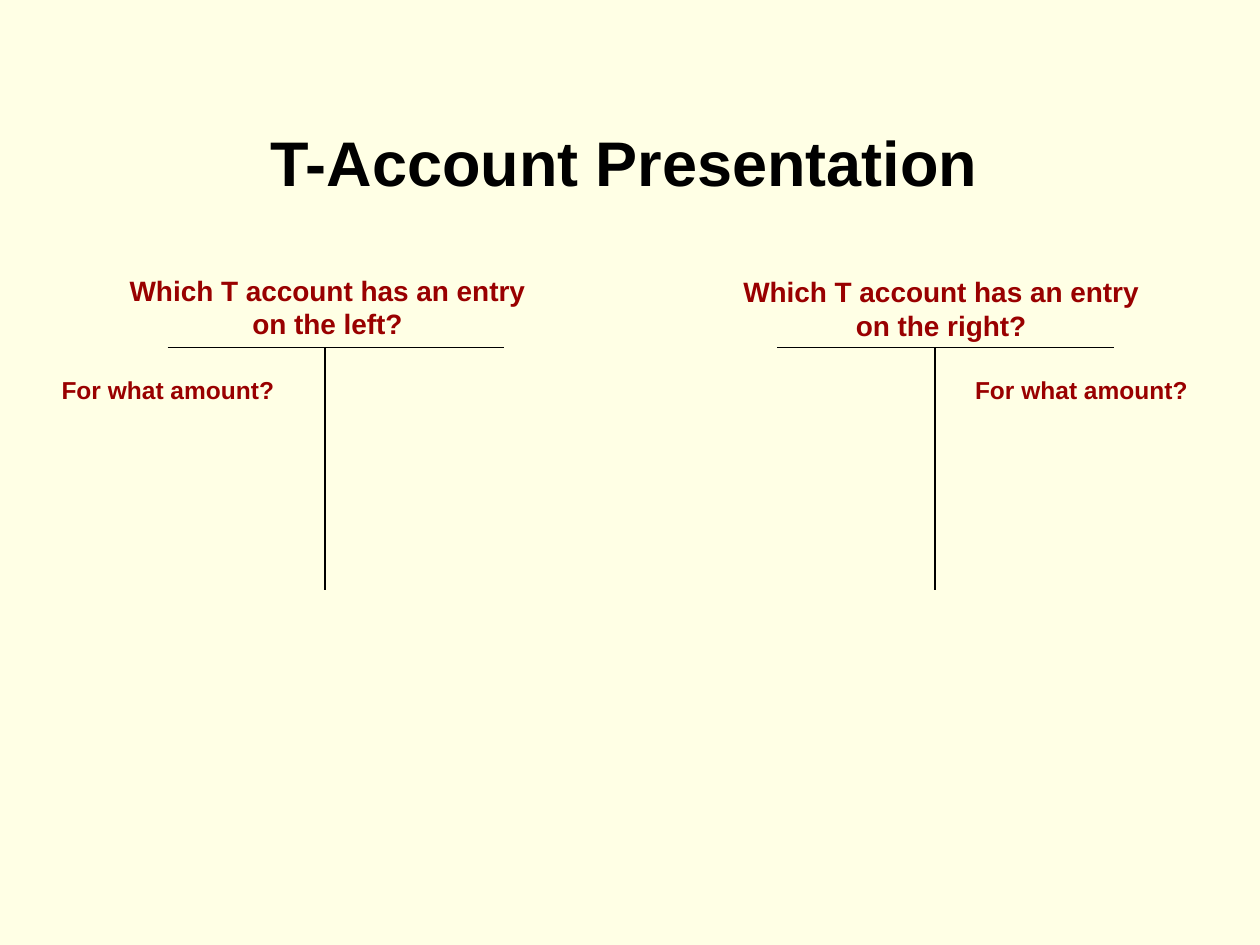
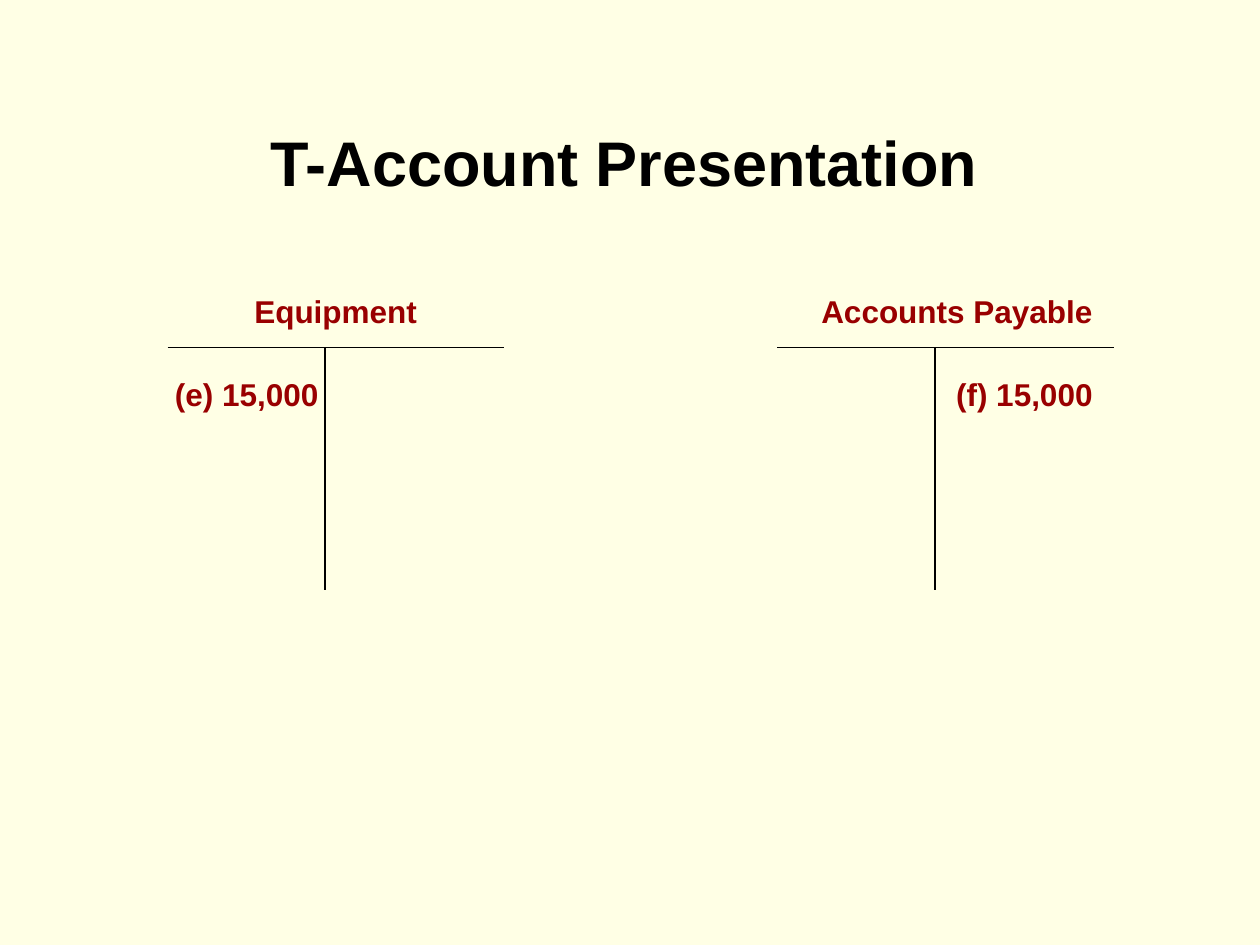
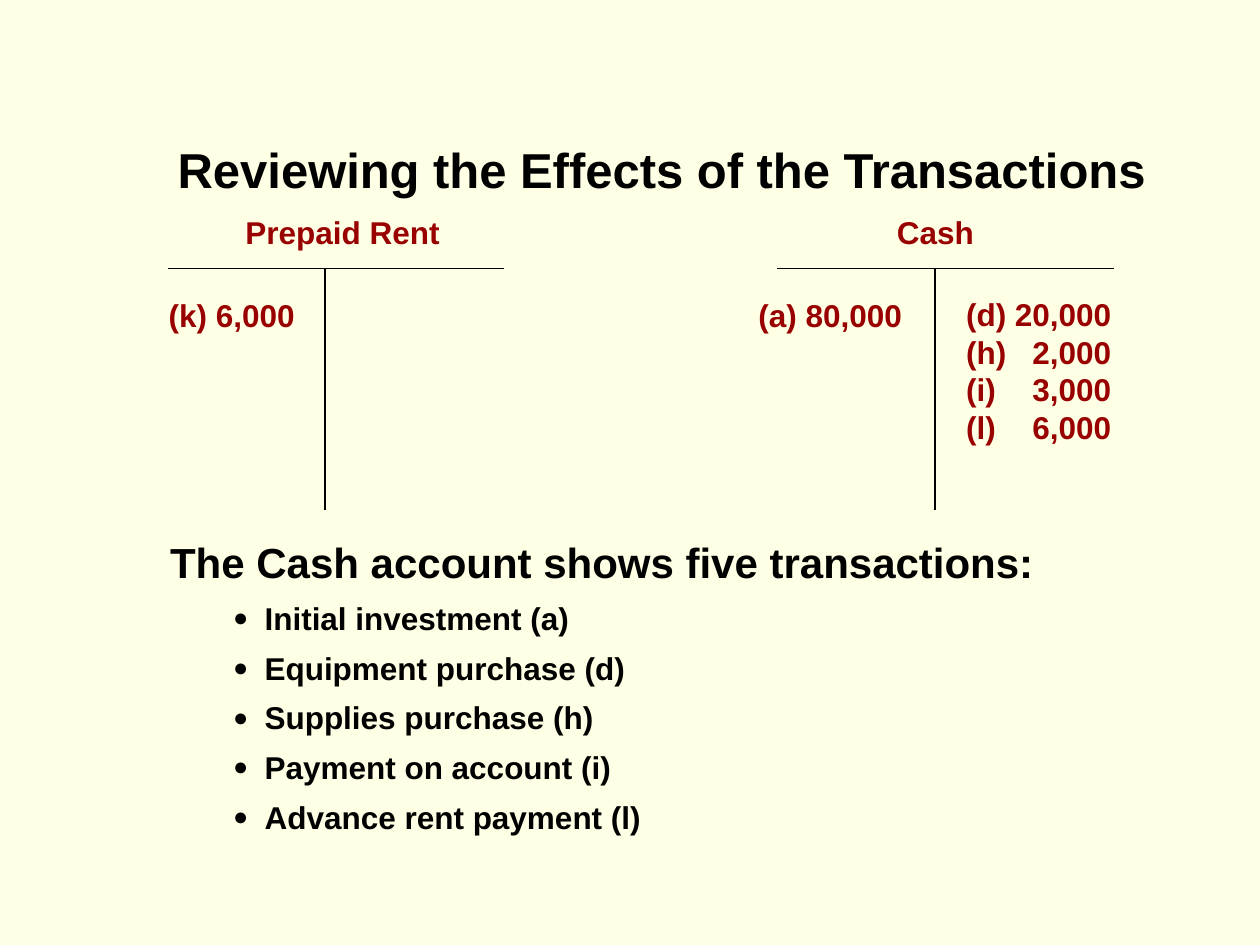
"""Build three T-account slides: the question, the answer and the review."""
from lxml.etree import SubElement
from pptx import Presentation
from pptx.dml.color import RGBColor
from pptx.enum.shapes import MSO_CONNECTOR
from pptx.enum.text import MSO_ANCHOR, MSO_AUTO_SIZE, PP_ALIGN
from pptx.oxml.ns import qn
from pptx.util import Inches, Pt

CREAM = RGBColor(0xFF, 0xFF, 0xE5)
BLACK = RGBColor(0, 0, 0)
DARK_RED = RGBColor(0x99, 0, 0)
FONT = "Arial"
LEFT, CENTER = PP_ALIGN.LEFT, PP_ALIGN.CENTER
ACCOUNT_LEFTS = (1.33, 6.17)
BAR_WIDTH, STEM_OFFSET, STEM_HEIGHT = 2.67, 1.25, 1.92


def write(shape, box, text, size, color, align=LEFT):
    shape.left, shape.top, shape.width, shape.height = map(Inches, box)
    frame = shape.text_frame
    frame.text = text
    frame.word_wrap = True
    frame.auto_size = MSO_AUTO_SIZE.NONE
    frame.vertical_anchor = MSO_ANCHOR.TOP
    for paragraph in frame.paragraphs:
        paragraph.alignment = align
        paragraph.space_before = Pt(0)
        paragraph.font.name = FONT
        paragraph.font.size = Pt(size)
        paragraph.font.bold = True
        paragraph.font.color.rgb = color
    return frame


def draw_line(slide, x1, y1, x2, y2):
    line = slide.shapes.add_connector(MSO_CONNECTOR.STRAIGHT, *map(Inches, (x1, y1, x2, y2)))
    line.line.color.rgb = BLACK
    line.line.width = Pt(0.75)
    SubElement(line._element.spPr, qn("a:effectLst"))


title_t_account = ("T-Account Presentation", (0.33, 0.93, 9.25, 0.7), 36, CENTER)
title_review = ("Reviewing the Effects of the Transactions", (1.31, 1.06, 8.34, 0.57), 28, LEFT)

slides = [
    (5, title_t_account, 2.76, [
        ("Which T account has an entry\non the left?", (0.9, 2.12, 3.4, 0.64), 16, CENTER),
        ("Which T account has an entry\non the right?", (5.77, 2.13, 3.4, 0.64), 16, CENTER),
        ("For what amount?", (0.39, 2.93, 2.2, 0.34), 14, LEFT),
        ("For what amount?", (7.64, 2.93, 2.2, 0.34), 14, LEFT),
    ]),
    (5, title_t_account, 2.76, [
        ("Equipment", (1.92, 2.27, 1.52, 0.4), 18, LEFT),
        ("Accounts Payable", (6.42, 2.27, 2.4, 0.4), 18, LEFT),
        ("(e) 15,000", (1.29, 2.93, 1.7, 0.4), 18, LEFT),
        ("(f) 15,000", (7.49, 2.93, 2.4, 0.4), 18, LEFT),
    ]),
    (1, title_review, 2.13, [
        ("Prepaid Rent", (1.85, 1.64, 1.8, 0.4), 18, LEFT),
        ("Cash", (7.02, 1.64, 0.85, 0.4), 18, LEFT),
        ("(k) 6,000", (1.24, 2.3, 1.7, 0.4), 18, LEFT),
        ("(a) 80,000", (5.92, 2.3, 1.38, 0.4), 18, LEFT),
    ]),
]

prs = Presentation()
prs.slide_width, prs.slide_height = Inches(10), Inches(7.5)
background = prs.slide_master.background.fill
background.solid()
background.fore_color.rgb = CREAM

for layout, (title, title_box, title_size, title_align), bar_top, entries in slides:
    slide = prs.slides.add_slide(prs.slide_layouts[layout])
    write(slide.shapes.title, title_box, title, title_size, BLACK, title_align)
    for left in ACCOUNT_LEFTS:
        stem = left + STEM_OFFSET
        draw_line(slide, left, bar_top, left + BAR_WIDTH, bar_top)
        draw_line(slide, stem, bar_top, stem, bar_top + STEM_HEIGHT)
    for text, box, size, align in entries:
        write(slide.shapes.add_textbox(0, 0, 0, 0), box, text, size, DARK_RED, align)

cash_credits = slide.shapes.add_textbox(0, 0, 0, 0)
credits = write(cash_credits, (7.57, 2.29, 2.08, 1.3),
                "(d)\t20,000\n(h)\t2,000\n(i)\t3,000\n(l)\t6,000", 18, DARK_RED)
for credit in credits.paragraphs:
    tabs = credit._p.get_or_add_pPr().makeelement(qn("a:tabLst"), {})
    SubElement(tabs, qn("a:tab"), pos=str(Inches(1.15)), algn="r")
    credit._p.pPr.find(qn("a:defRPr")).addprevious(tabs)

transactions = write(
    slide.placeholders[1], (1.25, 4.21, 7.83, 2.47),
    "The Cash account shows five transactions:\nInitial investment (a)\nEquipment purchase (d)\n"
    "Supplies purchase (h)\nPayment on account (i)\nAdvance rent payment (l)", 18, BLACK)
heading, *items = transactions.paragraphs
heading.font.size = Pt(24)
heading_format = heading._p.pPr
heading_format.set("marL", "0")
heading_format.set("indent", "0")
heading_format.find(qn("a:defRPr")).addprevious(heading_format.makeelement(qn("a:buNone"), {}))
for item in items:
    item.level = 1
    item.space_before = Pt(6.8)
    item_format = item._p.pPr
    item_format.set("marL", str(Inches(0.75)))
    item_format.set("indent", str(Inches(-0.25)))
    for tag, attributes in (("a:buSzPct", {"val": "80000"}), ("a:buFont", {"typeface": FONT}),
                            ("a:buChar", {"char": "●"})):
        bullet = item_format.makeelement(qn(tag), attributes)
        item_format.find(qn("a:defRPr")).addprevious(bullet)

prs.save("out.pptx")
